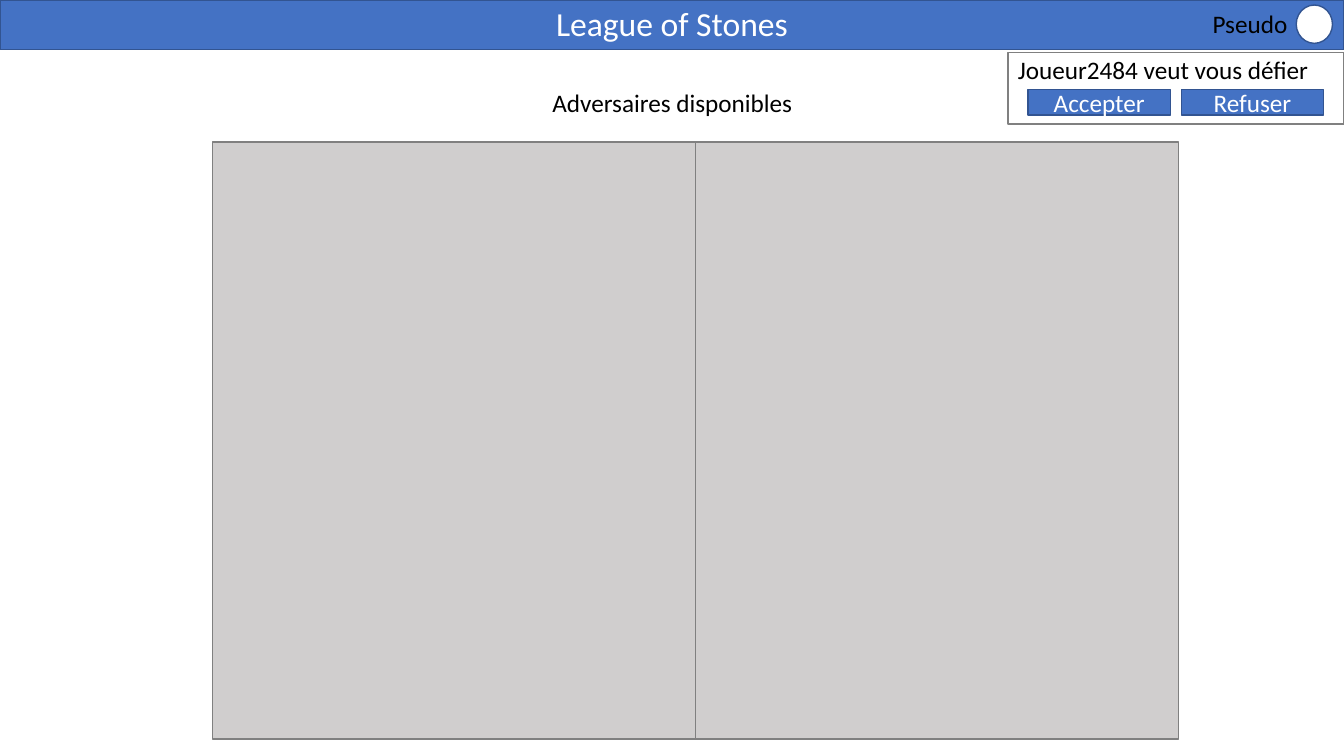
"""Build the opponent lobby slide of a card game on a grid of 400 columns by 225 rows."""
from pptx import Presentation
from pptx.dml.color import RGBColor
from pptx.enum.shapes import MSO_CONNECTOR, MSO_SHAPE
from pptx.enum.text import MSO_ANCHOR, MSO_AUTO_SIZE, PP_ALIGN
from pptx.oxml import parse_xml
from pptx.oxml.ns import nsdecls
from pptx.util import Inches, Pt

theme = {
    "font": "Calibri", "head": Pt(24), "text": Pt(18),
    "blue": RGBColor(0x44, 0x72, 0xC4), "navy": RGBColor(0x32, 0x54, 0x91),
    "white": RGBColor(255, 255, 255), "black": RGBColor(0, 0, 0),
    "pale": RGBColor(0xD0, 0xCE, 0xCE), "gray": RGBColor(0x80, 0x80, 0x80),
}
deck = Presentation()
deck.slide_width, deck.slide_height = Inches(40 / 3), Inches(7.5)
col, row = deck.slide_width / 400, deck.slide_height / 225
slide = deck.slides.add_slide(deck.slide_layouts[5])
shapes = slide.shapes


def draw(kind, left, top, width, height, fill, edge):
    """Add an outlined shape placed in columns and rows."""
    shape = shapes.add_shape(kind, int(left * col), int(top * row), int(width * col), int(height * row))
    shape.shadow.inherit = False
    if fill:
        shape.fill.solid()
        shape.fill.fore_color.rgb = theme[fill]
    else:
        shape.fill.background()
    shape.line.color.rgb = theme[edge]
    shape.line.width = Pt(1)
    return shape


def write(shape, text, size, color, align, anchor=MSO_ANCHOR.TOP):
    """Put one styled line of text in a shape."""
    frame = shape.text_frame
    frame.text = text
    line = frame.paragraphs[0]
    line.font.color.rgb = theme[color]
    looks = [
        (frame, {"word_wrap": True, "auto_size": MSO_AUTO_SIZE.NONE, "vertical_anchor": anchor}),
        (line, {"alignment": align}),
        (line.font, {"name": theme["font"], "size": theme[size]}),
    ]
    for part, form in looks:
        for name, value in form.items():
            setattr(part, name, value)


bar = draw(MSO_SHAPE.RECTANGLE, 0, 0, 400, 14.7, "blue", "navy")
title = shapes.title
spot = {"left": 150 * col, "top": -0.6 * row, "width": 100 * col, "height": 15 * row}
for name, value in spot.items():
    setattr(title, name, int(value))
write(title, "League of Stones", "head", "white", PP_ALIGN.CENTER)
bar.element.addnext(title.element)
draw(MSO_SHAPE.OVAL, 385.8, 1.5, 10.8, 11.4, "white", "navy")

labels = [
    ("Pseudo", 350.7, 0.9, 35.4, PP_ALIGN.RIGHT),
    ("Adversaires disponibles", 126.3, 24.6, 147.6, PP_ALIGN.CENTER),
    ("Joueur2484 veut vous défier", 300, 14.7, 100, PP_ALIGN.LEFT),
]
for text, left, top, width, align in labels:
    label = shapes.add_textbox(int(left * col), int(top * row), int(width * col), int(12 * row))
    write(label, text, "text", "black", align)

board = draw(MSO_SHAPE.RECTANGLE, 63.3, 42.3, 287.4, 177.6, "pale", "gray")
mid = board.left + board.width // 2
split = shapes.add_connector(MSO_CONNECTOR.STRAIGHT, mid, board.top, mid, board.top + board.height)
split.line.color.rgb = theme["gray"]
split.line.width = Pt(0.5)
split.element.spPr.append(parse_xml(f"<a:effectLst {nsdecls('a')}/>"))

for step, text in enumerate(["Accepter", "Refuser"]):
    button = draw(MSO_SHAPE.RECTANGLE, 306 + 45.6 * step, 26.7, 42.3, 7.5, "blue", "navy")
    write(button, text, "text", "white", PP_ALIGN.CENTER, MSO_ANCHOR.MIDDLE)
draw(MSO_SHAPE.RECTANGLE, 300, 15.6, 100, 21.3, None, "gray")

deck.save("out.pptx")
